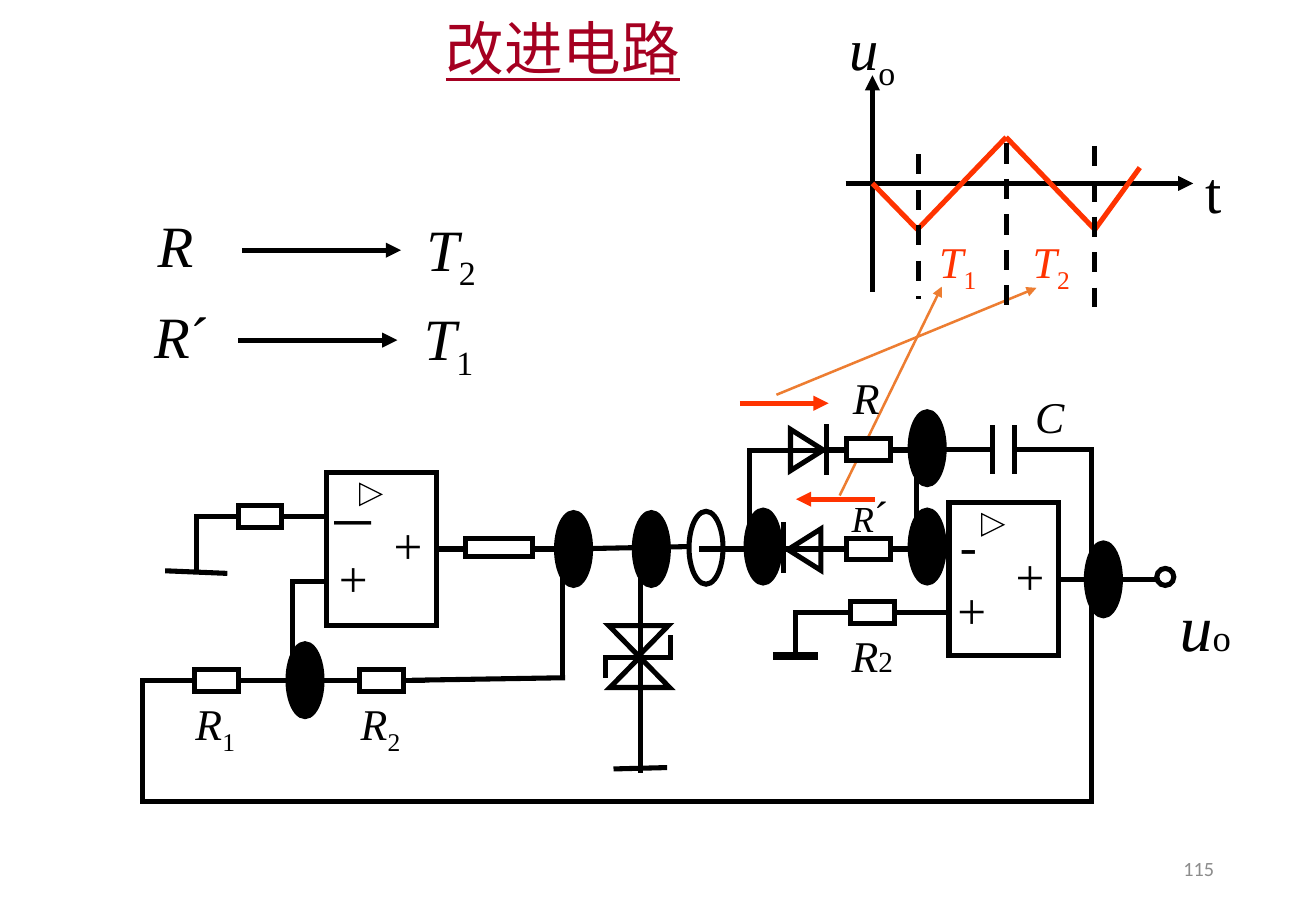
from pptx import Presentation
from pptx.dml.color import RGBColor
from pptx.enum.dml import MSO_LINE
from pptx.enum.shapes import MSO_CONNECTOR, MSO_SHAPE
from pptx.enum.text import MSO_ANCHOR, MSO_AUTO_SIZE, PP_ALIGN
from pptx.oxml.ns import qn
from pptx.util import Inches, Pt
from lxml.etree import SubElement

BLACK = RGBColor(0x00, 0x00, 0x00)
WHITE = RGBColor(0xFF, 0xFF, 0xFF)
RED = RGBColor(0xFF, 0x33, 0x00)
ORANGE = RGBColor(0xED, 0x7D, 0x31)
CRIMSON = RGBColor(0xA5, 0x00, 0x21)
GREY = RGBColor(0x8C, 0x8C, 0x8C)
SERIF = "Times New Roman"

TITLE = "改进电路"
PAGE = "115"

ARROWS = [
    ((6.09, 3.32), (6.82, 3.32), RED, 3),
    ((7.2, 4.11), (6.55, 4.11), RED, 3),
    ((6.96, 1.51), (9.82, 1.51), BLACK, 3),
    ((7.18, 2.4), (7.18, 0.62), BLACK, 3),
    ((6.39, 3.25), (8.53, 2.37), ORANGE, 1.5),
    ((6.91, 4.08), (7.75, 2.36), ORANGE, 1.5),
    ((1.99, 2.06), (3.3, 2.06), BLACK, 3),
    ((1.96, 2.8), (3.27, 2.8), BLACK, 3),
]
WAVE = [(7.18, 1.51), (7.55, 1.89), (8.28, 1.13), (9.01, 1.89), (9.38, 1.38)]
PERIOD_MARKS = [(7.56, 1.27, 2.46), (8.28, 1.18, 2.51), (9.01, 1.2, 2.53)]

WIRES = [
    [(2.41, 4.25), (2.69, 4.25)],
    [(2.69, 4.79), (2.41, 4.79), (2.41, 5.6)],
    [(3.59, 4.52), (4.67, 4.52), (5.66, 4.5)],
    [(4.63, 4.52), (4.63, 5.58), (3.41, 5.6)],
    [(1.96, 5.6), (2.78, 5.6)],
    [(1.87, 4.25), (1.62, 4.25), (1.62, 4.7)],
    [(1.38, 4.7), (1.85, 4.72)],
    [(5.27, 4.5), (5.27, 6.34)],
    [(5.07, 6.33), (5.47, 6.32)],
    [(4.98, 5.56), (4.98, 5.41), (5.52, 5.41), (5.52, 5.25)],
    [(5.77, 4.52), (6.87, 4.52)],
    [(6.17, 4.52), (6.17, 3.71), (7.63, 3.71)],
    [(7.54, 3.7), (7.54, 4.52)],
    [(7.45, 4.52), (7.81, 4.52)],
    [(7.54, 3.7), (8.17, 3.7)],
    [(8.17, 3.52), (8.17, 3.88)],
    [(8.35, 3.52), (8.35, 3.88)],
    [(6.8, 3.51), (6.8, 3.89)],
    [(6.45, 4.32), (6.45, 4.7)],
    [(6.55, 5.4), (6.55, 5.04), (6.91, 5.04)],
    [(7.54, 5.04), (7.81, 5.04)],
    [(8.71, 4.77), (9.52, 4.77)],
    [(8.35, 3.7), (8.98, 3.7), (8.98, 6.6), (1.17, 6.6), (1.17, 5.6), (1.6, 5.6)],
]
GROUND_BAR = [(6.36, 5.4), (6.73, 5.4)]

RESISTORS = [(2.96, 5.6, None), (1.96, 4.25, None), (1.6, 5.6, None),
             (7, 5.04, None), (6.97, 4.52, None), (6.97, 3.7, WHITE)]
AMPLIFIERS = [(2.69, 3.89, 2.96, 3.98), (7.81, 4.14, 8.08, 4.23)]
DIODES = [(5.02, 5.41, 0.49, 0.25, 0), (5.01, 5.15, 0.49, 0.25, 180),
          (6.45, 4.39, 0.34, 0.27, 270), (6.47, 3.57, 0.34, 0.27, 90)]
NODES = [(7.49, 3.39), (8.94, 4.47), (7.49, 4.2), (6.14, 4.2),
         (4.58, 4.22), (2.37, 5.3), (5.22, 4.22)]
OPEN_NODE = (5.67, 4.21)

SYMBOLS = [
    (9.82, 1.23, 0.59, 34.7, "t"),
    (2.6, 4, 0.45, 30.3, "－"), (2.69, 4.45, 0.81, 30.3, "+"), (3.14, 4.18, 0.72, 30.3, "+"),
    (7.8, 4.18, 0.45, 30.3, "-"), (7.78, 4.71, 0.81, 30.3, "+"), (8.26, 4.43, 0.72, 30.3, "+"),
]
SUBSCRIPTED = [
    (6.89, 0.05, 0.73, 34.7, "u", "o", BLACK),
    (7.63, 1.88, 0.68, 26, "T", "1", RED),
    (8.4, 1.88, 0.68, 26, "T", "2", RED),
    (3.41, 1.7, 1.51, 34.7, "T", "2", BLACK),
    (3.39, 2.44, 1.51, 34.7, "T", "1", BLACK),
    (2.87, 5.69, 0.72, 26, "R", "2", BLACK),
    (1.51, 5.69, 0.72, 26, "R", "1", BLACK),
]
VARIABLES = [
    (1.2, 1.67, 0.47, 34.7, "R", "", 34.7),
    (1.17, 2.42, 1.35, 34.7, "R", "´", 34.7),
    (6.92, 3, 0.84, 26, "R", "", 26),
    (6.91, 3.97, 0.84, 21.7, "R", "´", 26),
    (6.91, 5.13, 0.81, 26, "R", "2", 17.3),
    (8.42, 3.16, 0.45, 26, "C", "", 26),
    (9.61, 4.77, 0.72, 39, "u", "o", 21.7),
]

prs = Presentation()
prs.slide_width, prs.slide_height = Inches(10.83), Inches(7.5)
s = prs.slides.add_slide(prs.slide_layouts[5])


def add_line(start, end, color=BLACK, width=3, cap=None, dash=None, arrow=False):
    line = s.shapes.add_connector(MSO_CONNECTOR.STRAIGHT, *map(Inches, start + end))
    line.line.color.rgb = color
    line.line.width = Pt(width)
    if dash:
        line.line.dash_style = dash
    ln = line.line._get_or_add_ln()
    if cap:
        ln.set("cap", cap)
    if arrow:
        SubElement(ln, qn("a:tailEnd"), type="triangle")
    SubElement(line._element.spPr, qn("a:effectLst"))


def add_path(points, **style):
    for start, end in zip(points, points[1:]):
        add_line(start, end, **style)


def add_part(kind, x, y, w, h, fill=None, width=3, rotation=0):
    sp = s.shapes.add_shape(kind, *map(Inches, (x, y, w, h)))
    sp.shadow.inherit = False
    sp.rotation = rotation
    if fill is None:
        sp.fill.background()
    else:
        sp.fill.solid()
        sp.fill.fore_color.rgb = fill
    sp.line.color.rgb = BLACK
    sp.line.width = Pt(width)
    SubElement(sp.line._get_or_add_ln(), qn("a:miter"), lim="800000")


def format_run(r, size, color, font=SERIF, italic=False):
    r.font.name = font
    r.font.size = Pt(size)
    r.font.color.rgb = color
    r.font.italic = italic


def add_label(x, y, w, runs, color=BLACK):
    h = max(size for _, size, _, _ in runs) * 1.2 / 72 + 0.1
    tf = s.shapes.add_textbox(*map(Inches, (x, y, w, h))).text_frame
    tf.word_wrap = True
    for text, size, italic, subscript in runs:
        r = tf.paragraphs[0].add_run()
        r.text = text
        format_run(r, size, color, italic=italic)
        if subscript:
            r._r.get_or_add_rPr().set("baseline", "-25000")


title = s.shapes.title
title.left, title.top, title.width, title.height = map(Inches, (3.57, 0.05, 2.19, 0.68))
tf = title.text_frame
tf.text = TITLE
tf.auto_size = MSO_AUTO_SIZE.NONE
tf.vertical_anchor = MSO_ANCHOR.TOP
tf.paragraphs[0].alignment = PP_ALIGN.LEFT
format_run(tf.paragraphs[0].runs[0], 34.7, CRIMSON)
tf.paragraphs[0].runs[0].font.underline = True

for start, end, color, width in ARROWS:
    add_line(start, end, color, width, arrow=True)
add_path(WAVE, color=RED)
for x, top, bottom in PERIOD_MARKS:
    add_line((x, top), (x, bottom), dash=MSO_LINE.DASH)

for wire in WIRES:
    add_path(wire, cap="sq")
add_path(GROUND_BAR, width=4.5)

for x, y, fill in RESISTORS:
    add_part(MSO_SHAPE.RECTANGLE, x, y - 0.09, 0.36, 0.18, fill)
    for lead in (x - 0.18, x + 0.36):
        add_line((lead, y), (lead + 0.18, y))
add_part(MSO_SHAPE.RECTANGLE, 3.83, 4.43, 0.55, 0.15, WHITE)
for x, y, mark_x, mark_y in AMPLIFIERS:
    add_part(MSO_SHAPE.RECTANGLE, x, y, 0.9, 1.26)
    add_part(MSO_SHAPE.FLOWCHART_MERGE, mark_x, mark_y, 0.18, 0.18, width=0.75, rotation=270)
for x, y, w, h, rotation in DIODES:
    add_part(MSO_SHAPE.ISOSCELES_TRIANGLE, x, y, w, h, rotation=rotation)
add_part(MSO_SHAPE.OVAL, *OPEN_NODE, 0.28, 0.6)
add_part(MSO_SHAPE.OVAL, 9.52, 4.68, 0.14, 0.14, WHITE)
for x, y in NODES:
    add_part(MSO_SHAPE.OVAL, x, y, 0.28, 0.6, BLACK)

for x, y, w, size, text in SYMBOLS:
    add_label(x, y, w, [(text, size, False, False)])
for x, y, w, size, name, index, color in SUBSCRIPTED:
    add_label(x, y, w, [(name, size, True, False), (index, size, False, True)], color)
for x, y, w, size, name, suffix, suffix_size in VARIABLES:
    runs = [(name, size, True, False)]
    if suffix:
        runs.append((suffix, suffix_size, False, False))
    add_label(x, y, w, runs)

tf = s.shapes.add_textbox(*map(Inches, (7.65, 6.95, 2.44, 0.4))).text_frame
tf.text = PAGE
tf.word_wrap = True
tf.vertical_anchor = MSO_ANCHOR.MIDDLE
tf.paragraphs[0].alignment = PP_ALIGN.RIGHT
format_run(tf.paragraphs[0].runs[0], 12, GREY, "Calibri")

prs.save("out.pptx")
